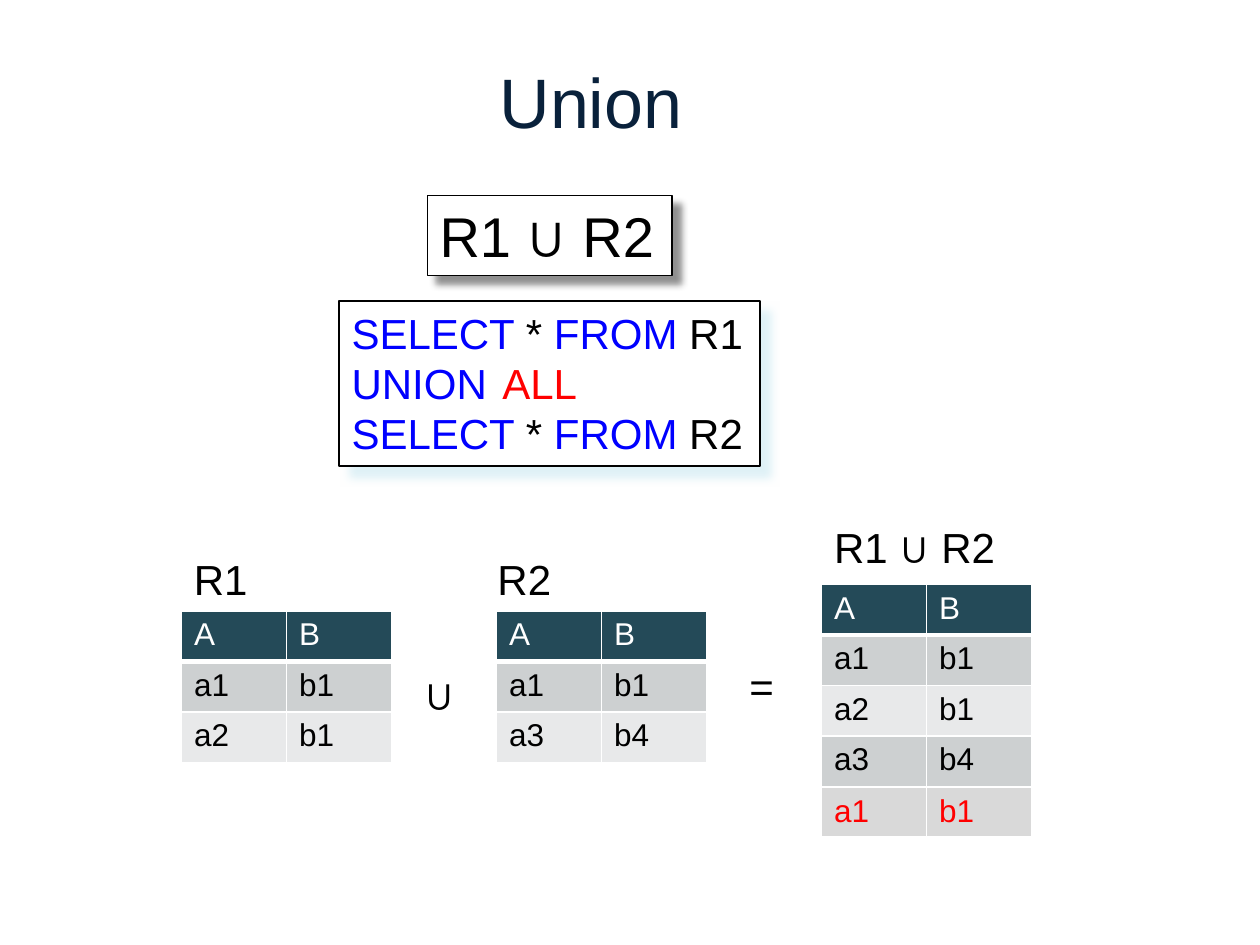
from lxml import etree
from pptx import Presentation
from pptx import util as u
from pptx.dml.color import RGBColor
from pptx.enum import shapes, text
from pptx.oxml import ns

COLORS = {
    "title": "09213B", "black": "000000", "white": "FFFFFF",
    "keyword": "0000FF", "red": "FF0000", "header": "244A58",
    "odd": "CDD0D1", "even": "E8E9EA", "extra": "D9D9D9", "glow": "D5EDF4",
}
ROW_HEIGHT = 28.8
COLUMN_WIDTH = 60


def rgb(name):
    return RGBColor.from_string(COLORS[name])


def points(*lengths):
    return [u.Pt(length) for length in lengths]


def add_run(paragraph, words, size, color):
    run = paragraph.add_run()
    run.text = words
    for name, value in {"name": "Arial", "size": u.Pt(size)}.items():
        setattr(run.font, name, value)
    run.font.color.rgb = rgb(color)


def write_lines(frame, lines, size, **settings):
    """Each line is a list of (words, color) runs."""
    formats = {"word_wrap": False,
               "auto_size": text.MSO_AUTO_SIZE.SHAPE_TO_FIT_TEXT,
               "vertical_anchor": text.MSO_ANCHOR.TOP, **settings}
    for name, value in formats.items():
        setattr(frame, name, value)
    for index, line in enumerate(lines):
        paragraph = frame.paragraphs[0] if index == 0 else frame.add_paragraph()
        paragraph.alignment = text.PP_ALIGN.LEFT
        for words, color in line:
            add_run(paragraph, words, size, color)


def add_label(slide, box, words, color="black"):
    shape = slide.shapes.add_textbox(*points(*box))
    write_lines(shape.text_frame, [[(words, color)]], 24)


def add_title(slide, words):
    shape = slide.shapes.add_textbox(*points(31.7, 12.2, 612, 90))
    write_lines(shape.text_frame, [[(words, "title")]], 40, word_wrap=True,
                auto_size=text.MSO_AUTO_SIZE.NONE,
                vertical_anchor=text.MSO_ANCHOR.MIDDLE)
    shape.text_frame.paragraphs[0].alignment = text.PP_ALIGN.CENTER


def add_shadow(shape, color, alpha, blur, distance):
    shape.shadow.inherit = False
    effects = shape._element.spPr.find(ns.qn("a:effectLst"))
    shadow = etree.SubElement(
        effects, ns.qn("a:outerShdw"), blurRad=str(u.Pt(blur)),
        dist=str(u.Pt(distance)), dir=str(45 * 60000), algn="tl", rotWithShape="0")
    tint = etree.SubElement(shadow, ns.qn("a:srgbClr"), val=COLORS[color])
    etree.SubElement(tint, ns.qn("a:alpha"), val=str(alpha * 1000))


def add_panel(slide, box, lines, size, line_width, shadow):
    shape = slide.shapes.add_shape(shapes.MSO_SHAPE.RECTANGLE, *points(*box))
    shape.fill.solid()
    shape.fill.fore_color.rgb = rgb("white")
    shape.line.color.rgb = rgb("black")
    shape.line.width = u.Pt(line_width)
    add_shadow(shape, *shadow)
    write_lines(shape.text_frame, lines, size)


def add_borders(cell, bottom):
    properties = cell._tc.get_or_add_tcPr()
    for side, width in {"L": 1, "R": 1, "T": 1, "B": bottom}.items():
        line = etree.SubElement(properties, ns.qn(f"a:ln{side}"), w=str(u.Pt(width)))
        fill = etree.SubElement(line, ns.qn("a:solidFill"))
        etree.SubElement(fill, ns.qn("a:srgbClr"), val=COLORS["white"])


def add_relation(slide, left, top, rows, styles):
    """Each style is (fill, font color, bottom border) for one row."""
    size = (2 * COLUMN_WIDTH, len(rows) * ROW_HEIGHT)
    table = slide.shapes.add_table(len(rows), 2, *points(left, top, *size)).table
    for column in table.columns:
        column.width = u.Pt(COLUMN_WIDTH)
    for r, (values, (fill, color, bottom)) in enumerate(zip(rows, styles)):
        table.rows[r].height = u.Pt(ROW_HEIGHT)
        for c, value in enumerate(values):
            cell = table.cell(r, c)
            add_borders(cell, bottom)
            cell.fill.solid()
            cell.fill.fore_color.rgb = rgb(fill)
            add_run(cell.text_frame.paragraphs[0], value, 18, color)


def select_line(relation):
    return [("SELECT ", "keyword"), ("* ", "black"),
            ("FROM ", "keyword"), (relation, "black")]


def main():
    presentation = Presentation()
    presentation.slide_width, presentation.slide_height = points(720, 540)
    slide = presentation.slides.add_slide(presentation.slide_layouts[6])

    # Title, algebra expression and its query
    add_title(slide, "Union")
    add_panel(slide, (244.1, 111.6, 139.9, 46), [[("R1 ∪ R2", "black")]],
              32, 0.75, ("black", 43, 4, 7))
    add_panel(slide, (193.8, 172, 240.4, 94.5),
              [select_line("R1"), [("UNION", "keyword")], select_line("R2")],
              24, 1, ("glow", 75, 5, 8.5))
    add_label(slide, (280, 200.9, 57.6, 36.3), "ALL", "red")

    # Input relations, their union and the duplicate row kept by ALL
    styles = [("header", "white", 3), ("odd", "black", 1),
              ("even", "black", 1), ("odd", "black", 1)]
    header = ("A", "B")
    add_relation(slide, 103.7, 349.2, [header, ("a1", "b1"), ("a2", "b1")], styles)
    add_relation(slide, 283.7, 349.2, [header, ("a1", "b1"), ("a3", "b4")], styles)
    add_relation(slide, 469.5, 334.1,
                 [header, ("a1", "b1"), ("a2", "b1"), ("a3", "b4")], styles)
    add_relation(slide, 469.5, 450, [("a1", "b1")], [("extra", "red", 3)])

    # Relation names and operators
    add_label(slide, (103.7, 312.5, 45.4, 36.3), "R1")
    add_label(slide, (277.2, 312.5, 45.4, 36.3), "R2")
    add_label(slide, (469.5, 294.5, 108.7, 36.3), "R1 ∪ R2")
    add_label(slide, (235.4, 378.7, 33.1, 36.3), "∪")
    add_label(slide, (421.2, 373.7, 28.8, 36.3), "=")

    presentation.save("out.pptx")


if __name__ == "__main__":
    main()
